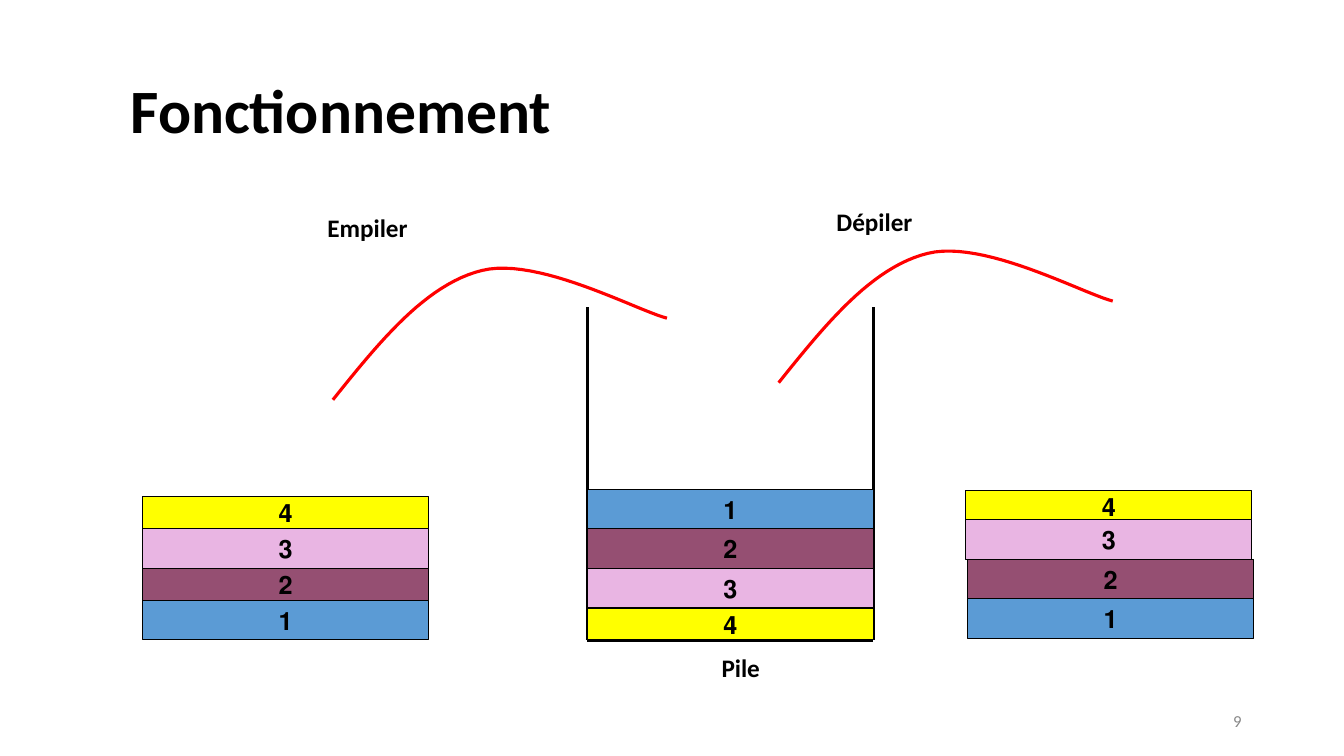
import pptx
import pptx.util
import pptx.dml.color
import pptx.enum.shapes
import pptx.enum.text
import pptx.oxml

Pt = pptx.util.Pt
ALIGN = pptx.enum.text.PP_ALIGN
ANCHOR = pptx.enum.text.MSO_ANCHOR
FILLS = {"1": "5B9BD5", "2": "954F72", "3": "E9B5E3", "4": "FFFF00"}
WIDTH = 204.3


def color(code):
    """Return the colour for a hex string."""
    return pptx.dml.color.RGBColor.from_string(code)


def write(para, text, size, code="000000", bold=True):
    """Add one formatted run to a paragraph."""
    run = para.add_run()
    run.text = text
    run.font.name = "Calibri"
    run.font.size = Pt(size)
    run.font.bold = bold
    run.font.color.rgb = color(code)


def title(slide, left, top, width, height):
    """Place the title in the given box."""
    shape = slide.shapes.title
    shape.left, shape.top = Pt(left), Pt(top)
    shape.width, shape.height = Pt(width), Pt(height)
    frame = shape.text_frame
    frame.auto_size = pptx.enum.text.MSO_AUTO_SIZE.NONE
    frame.vertical_anchor = ANCHOR.MIDDLE
    frame.margin_left = Pt(27.2)
    para = frame.paragraphs[0]
    para.alignment = ALIGN.LEFT
    para.line_spacing = 0.9
    write(para, "Fonctionnement", 44)


def label(slide, text, left, top, width=151.2, height=29):
    """Place a bold label in the given box."""
    box = slide.shapes.add_textbox(Pt(left), Pt(top), Pt(width), Pt(height))
    box.text_frame.word_wrap = True
    write(box.text_frame.paragraphs[0], text, 18)


def number(slide, text, left, top, width, height):
    """Place the page number at the right of the given box."""
    box = slide.shapes.add_textbox(Pt(left), Pt(top), Pt(width), Pt(height))
    frame = box.text_frame
    frame.word_wrap = True
    frame.vertical_anchor = ANCHOR.MIDDLE
    frame.paragraphs[0].alignment = ALIGN.RIGHT
    write(frame.paragraphs[0], text, 12, "888888", False)


def stack(slide, left, top, layers):
    """Pile up layers of (digit, offset from top, height)."""
    kind = pptx.enum.shapes.MSO_SHAPE.RECTANGLE
    for digit, drop, height in layers:
        shape = slide.shapes.add_shape(
            kind, Pt(left), Pt(top + drop), Pt(WIDTH), Pt(height))
        shape.shadow.inherit = False
        shape.fill.solid()
        shape.fill.fore_color.rgb = color(FILLS[digit])
        shape.line.color.rgb = color("000000")
        shape.line.width = Pt(0.75)
        frame = shape.text_frame
        frame.vertical_anchor = ANCHOR.MIDDLE
        para = frame.paragraphs[0]
        para.alignment = ALIGN.CENTER
        para._p.get_or_add_pPr().set("rtl", "1")
        write(para, digit, 18)


def bin_walls(slide, left, top, width, height):
    """Draw the open container: a floor and two walls."""
    right, floor = left + width, top + height
    ends = [(left, floor, right, floor), (left, floor, left, top),
            (right, floor, right, top)]
    for points in ends:
        line = slide.shapes.add_connector(
            pptx.enum.shapes.MSO_CONNECTOR.STRAIGHT, *map(Pt, points))
        line.line.color.rgb = color("000000")
        line.line.width = Pt(2.25)
        props = line._element.spPr
        props.append(pptx.oxml.parse_xml(
            '<a:effectLst xmlns:a="http://schemas.openxmlformats.org/'
            'drawingml/2006/main"/>'))


def bezier(points, steps=24):
    """Return points sampled along a cubic curve."""
    a, b, c, d = points
    result = []
    for step in range(1, steps + 1):
        t = step / steps
        u = 1 - t
        result.append(tuple(
            u**3 * a[i] + 3 * u * u * t * b[i] + 3 * u * t * t * c[i]
            + t**3 * d[i] for i in (0, 1)))
    return result


def arc(slide, left, top):
    """Draw the red path of a moved layer, starting at a point."""
    rise = [(0, 0), (33.4, -41.7), (66.8, -82.8), (106.6, -92.4)]
    fall = [rise[-1], (146.4, -102.3), (216.7, -64), (238.6, -58.3)]
    path = [(Pt(left + x), Pt(top + y)) for x, y in bezier(rise) + bezier(fall)]
    build = slide.shapes.build_freeform(Pt(left), Pt(top))
    build.add_line_segments(path, close=False)
    shape = build.convert_to_shape()
    shape.shadow.inherit = False
    shape.fill.background()
    shape.line.color.rgb = color("FF0000")
    shape.line.width = Pt(2.25)


def main():
    """Build the slide and save it."""
    deck = pptx.Presentation()
    deck.slide_width, deck.slide_height = Pt(960), Pt(540)
    slide = deck.slides.add_slide(deck.slide_layouts[5])
    title(slide, 66, 28.75, 828, 104.4)
    bin_walls(slide, 419.6, 219.2, WIDTH, 238)
    stack(slide, 101.9, 354.7, [
        ("4", 0, 22.7), ("3", 22.7, 28.5), ("2", 51.2, 22.8), ("1", 74, 28.2)])
    stack(slide, 419.6, 349.4, [
        ("1", 0, 28.3), ("2", 28.3, 28.3), ("3", 56.6, 28.3), ("4", 84.9, 22.7)])
    stack(slide, 689.9, 350.4, [("4", 0, 22.7), ("3", 20.5, 28.5)])
    stack(slide, 691.2, 399.4, [("2", 0, 28.3), ("1", 28.3, 28.3)])
    label(slide, "Empiler", 226.8, 148.4)
    label(slide, "Dépiler", 590.4, 144)
    label(slide, "Pile", 508.3, 462.6)
    arc(slide, 237.8, 285.6)
    arc(slide, 556.2, 273.4)
    number(slide, "9", 678, 500.5, 216, 28.8)
    deck.save("out.pptx")


if __name__ == "__main__":
    main()
